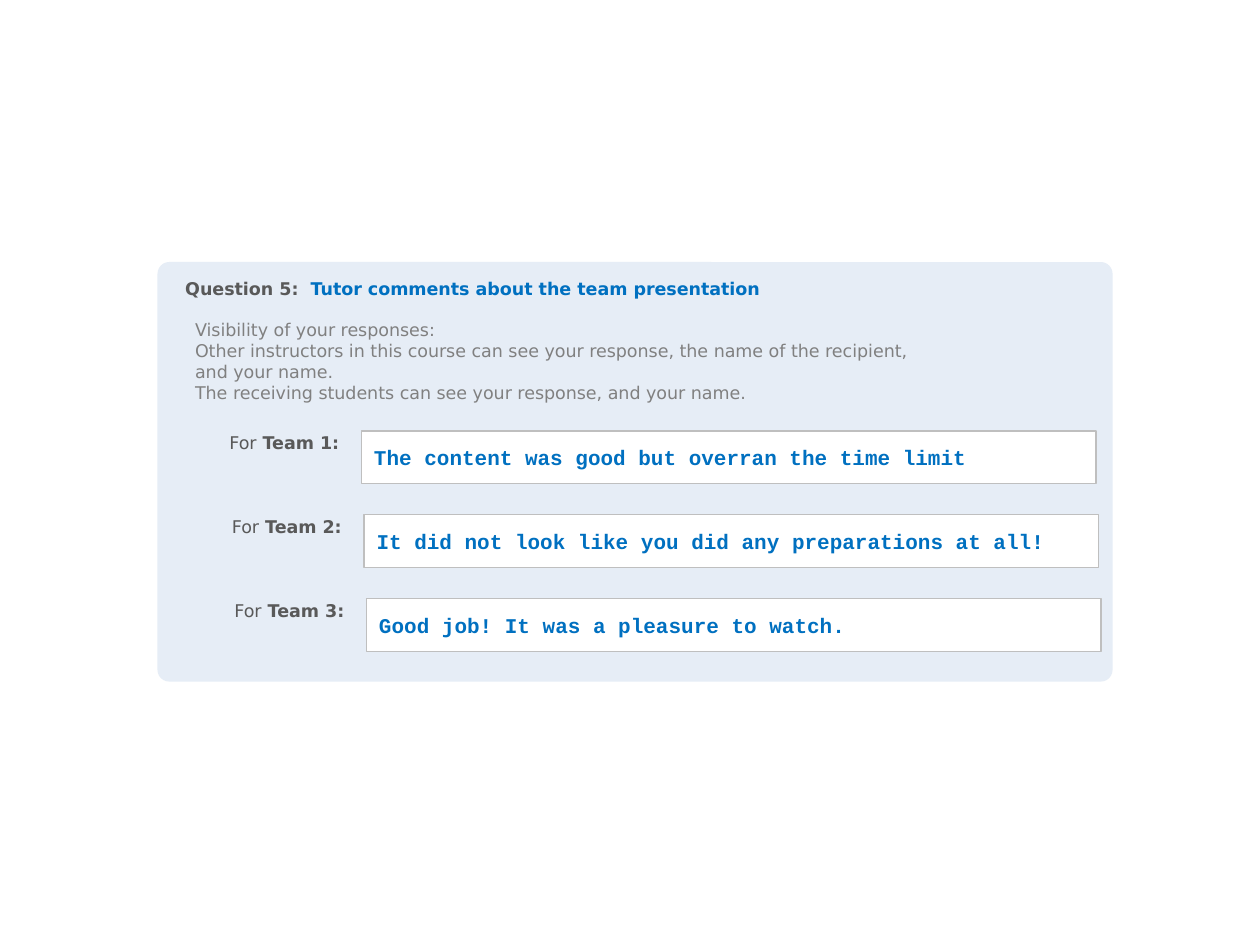
from pptx import Presentation
from pptx.dml.color import RGBColor
from pptx.enum import shapes, text
from pptx.util import Inches, Pt

PANEL = RGBColor(0xE6, 0xED, 0xF6)
WHITE = RGBColor(0xFF, 0xFF, 0xFF)
BORDER = RGBColor(0xBF, 0xBF, 0xBF)
DARK = RGBColor(0x59, 0x59, 0x59)
GREY = RGBColor(0x80, 0x80, 0x80)
BLUE = RGBColor(0x00, 0x70, 0xC0)
SANS, MONO = "DejaVu Sans", "Courier New"

# Content; \v is a line break inside a paragraph
QUESTION = ("Question 5:  ", "Tutor comments about the team presentation")
VISIBILITY = [
    "Visibility of your responses:\v"
    "Other instructors in this course can see your response, "
    "the name of the recipient, \vand your name.",
    "The receiving students can see your response, and your name.",
]
RESPONSES = [
    ("Team 1:", "The content was good but overran the time limit"),
    ("Team 2:", "It did not look like you did any preparations at all!"),
    ("Team 3:", "Good job! It was a pleasure to watch."),
]

# Layout in inches: each response row is offset from the one before
ROW_DX, ROW_DY = 0.02, 0.665
LABEL = (1.41, 3.38, 1.38, 0.27)
ANSWER = (2.87, 3.42, 5.83, 0.42)


def set_font(font, name, size, color, bold=None):
    font.name, font.size, font.bold = name, Pt(size), bold
    font.color.rgb = color


def add_box(s, kind, box, fill, line=None):
    sp = s.shapes.add_shape(kind, *map(Inches, box))
    sp.shadow.inherit = False
    sp.fill.solid()
    sp.fill.fore_color.rgb = fill
    if line is None:
        sp.line.fill.background()
    else:
        sp.line.color.rgb = line
        sp.line.width = Pt(0.75)
    return sp


def add_text(s, box):
    tf = s.shapes.add_textbox(*map(Inches, box)).text_frame
    tf.word_wrap = True
    return tf


def add_run(p, words, color=None, bold=None):
    r = p.add_run()
    r.text = words
    r.font.bold = bold
    if color is not None:
        r.font.color.rgb = color


def main():
    prs = Presentation()
    prs.slide_width, prs.slide_height = Inches(10), Inches(7.5)
    s = prs.slides.add_slide(prs.slide_layouts[5])

    # Panel, placed behind the title
    panel = add_box(s, shapes.MSO_SHAPE.ROUNDED_RECTANGLE,
                    (1.25, 2.08, 7.58, 3.33), PANEL)
    panel.adjustments[0] = 0.028
    s.shapes.title._element.addprevious(panel._element)

    # Question
    title = s.shapes.title
    title.left, title.top, title.width, title.height = map(
        Inches, (1.37, 2.16, 5.83, 0.27))
    tf = title.text_frame
    tf.auto_size = text.MSO_AUTO_SIZE.NONE
    tf.vertical_anchor = text.MSO_ANCHOR.TOP
    p = tf.paragraphs[0]
    p.alignment = text.PP_ALIGN.LEFT
    set_font(p.font, SANS, 10, DARK, True)
    for words, color in zip(QUESTION, (DARK, BLUE)):
        add_run(p, words, color, True)

    # Visibility note
    tf = add_text(s, (1.45, 2.48, 7.17, 0.77))
    tf.text = "\n".join(VISIBILITY)
    for p in tf.paragraphs:
        set_font(p.font, SANS, 10, GREY)

    # Responses
    for i, (team, comment) in enumerate(RESPONSES):
        answer_box, label_box = (
            (x + i * ROW_DX, y + i * ROW_DY, w, h)
            for x, y, w, h in (ANSWER, LABEL))

        sp = add_box(s, shapes.MSO_SHAPE.RECTANGLE, answer_box, WHITE, BORDER)
        tf = sp.text_frame
        tf.vertical_anchor = text.MSO_ANCHOR.MIDDLE
        p = tf.paragraphs[0]
        p.text = comment
        p.alignment = text.PP_ALIGN.LEFT
        set_font(p.font, MONO, 12, BLUE, True)

        p = add_text(s, label_box).paragraphs[0]
        p.alignment = text.PP_ALIGN.RIGHT
        set_font(p.font, SANS, 10, DARK)
        add_run(p, "For")
        add_run(p, " " + team, bold=True)

    prs.save("out.pptx")


if __name__ == "__main__":
    main()
